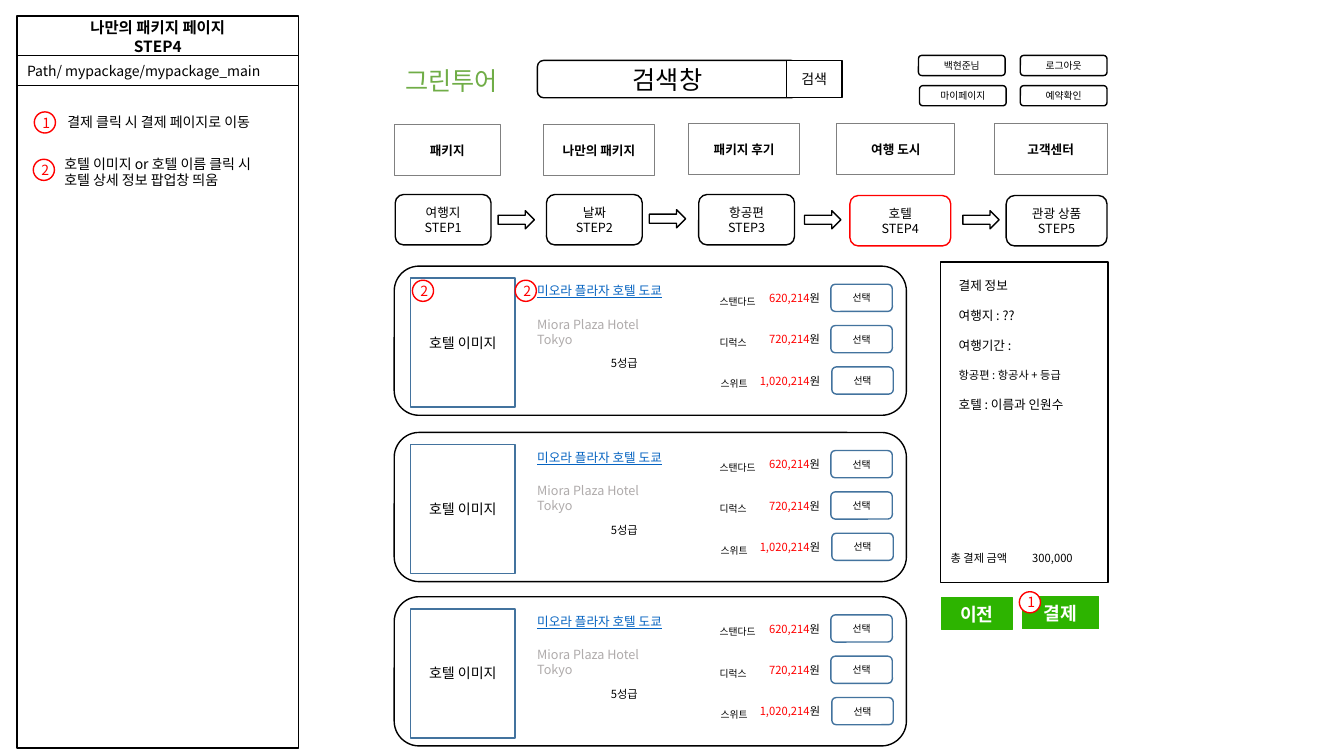
from lxml import etree
from pptx import Presentation
from pptx import util as u
from pptx.dml import color
from pptx.enum import shapes, text
from pptx.oxml import ns

BOX = shapes.MSO_SHAPE.RECTANGLE
ROUND = shapes.MSO_SHAPE.ROUNDED_RECTANGLE
OVAL = shapes.MSO_SHAPE.OVAL
ARROW = shapes.MSO_SHAPE.RIGHT_ARROW
MID, LEFT = text.PP_ALIGN.CENTER, text.PP_ALIGN.LEFT
FONT = "Noto Sans CJK KR"
BLACK, WHITE, RED = "000000", "FFFFFF", "FF0000"
BLUE, GREEN = "43739E", "2DB400"

deck = Presentation()
deck.slide_width, deck.slide_height = u.Inches(13.33), u.Inches(7.5)
page = deck.slides.add_slide(deck.slide_layouts[6])


def hue(code):
    return color.RGBColor.from_string(code)


def put(words, at, kind=None, size=9, ink=BLACK, bold=False, under=False,
        align=None, fill=WHITE, line=BLACK, width=1, unit="", gap=0, tab=0):
    """Add a shape, or a text box if kind is None; unit follows words in black."""
    spot = [u.Inches(n) for n in at]
    if kind is None:
        item = page.shapes.add_textbox(*spot)
    else:
        item = page.shapes.add_shape(kind, *spot)
        item.shadow.inherit = False
        if fill:
            item.fill.solid()
            item.fill.fore_color.rgb = hue(fill)
        else:
            item.fill.background()
        item.line.color.rgb = hue(line)
        item.line.width = u.Pt(width)
    if not words:
        return
    frame = item.text_frame
    frame.word_wrap = True
    if kind is not None:
        frame.vertical_anchor = text.MSO_ANCHOR.MIDDLE
    for i, row in enumerate(words.split("\n")):
        para = frame.add_paragraph() if i else frame.paragraphs[0]
        para.alignment = align or (LEFT if kind is None else MID)
        if i and gap:
            para.space_before = u.Pt(gap)
        if tab:
            tabs = etree.SubElement(para._p.get_or_add_pPr(), ns.qn("a:tabLst"))
            etree.SubElement(tabs, ns.qn("a:tab"), pos=str(u.Inches(tab)), algn="l")
        for part, tint in ((row, ink), (unit, BLACK)):
            if part:
                run = para.add_run()
                run.text = part
                font = run.font
                # The flight line is set one point smaller than its neighbours
                font.size = u.Pt(8 if row.startswith("항공편 :") else size)
                font.name, font.bold, font.underline = FONT, bold, under
                font.color.rgb = hue(tint)
                etree.SubElement(run._r.get_or_add_rPr(), ns.qn("a:ea"), typeface=FONT)


# Notes panel
put("", (0.17, 0.7, 2.79, 6.72), BOX)
put("나만의 패키지 페이지\nSTEP4", (0.17, 0.16, 2.79, 0.41), BOX, size=11, bold=True)
put("Path/ mypackage/mypackage_main", (0.17, 0.55, 2.79, 0.3), BOX, size=10, align=LEFT)
put("결제 클릭 시 결제 페이지로 이동", (0.57, 1.08, 2.33, 0.27), size=10)
put("호텔 이미지 or 호텔 이름 클릭 시 호텔 상세 정보 팝업창 띄움",
    (0.54, 1.49, 2.33, 0.44), size=10)

# Header
put("그린투어", (3.92, 0.6, 1.35, 0.4), size=18, ink="70AD47")
put("검색창", (5.33, 0.6, 2.58, 0.37), ROUND, size=18)
put("검색", (7.8, 0.6, 0.55, 0.37), BOX, size=10)
for name, x, y in (("백현준님", 9.11, 0.55), ("로그아웃", 10.12, 0.55),
                   ("마이페이지", 9.12, 0.85), ("예약확인", 10.12, 0.85)):
    put(name, (x, y, 0.86, 0.2), ROUND, size=7)

# Menu
for name, x, y, w in (("패키지", 3.91, 1.24, 1.05), ("나만의 패키지", 5.39, 1.24, 1.1),
                      ("패키지 후기", 6.83, 1.23, 1.1), ("여행 도시", 8.3, 1.23, 1.17),
                      ("고객센터", 9.86, 1.23, 1.12)):
    put(name, (x, y, w, 0.5), BOX, bold=True, fill=None, line="808080", width=0.75)

# Booking steps
steps = (("여행지", 3.92, 1.93, 0.95), ("날짜", 5.42, 1.93, 0.95),
         ("항공편", 6.93, 1.93, 0.95), ("호텔", 8.43, 1.94, 1),
         ("관광 상품", 9.98, 1.94, 1))
for i, (name, x, y, w) in enumerate(steps, 1):
    put(f"{name}\nSTEP{i}", (x, y, w, 0.5), ROUND, line=RED if name == "호텔" else BLACK)
for x, y in ((4.94, 2.09), (6.44, 2.08), (7.98, 2.09), (9.55, 2.09)):
    put("", (x, y, 0.36, 0.18), ARROW)

# Hotel cards
rooms = (("스탠다드", "620,214", 7.04, 7.52, 0.72, 8.24),
         ("디럭스", "720,214", 7.04, 7.52, 0.72, 8.24),
         ("스위트", "1,020,214", 7.05, 7.42, 0.83, 8.25))
for top in (2.64, 4.29, 5.92):
    put("", (3.91, top, 5.08, 1.48), ROUND)
    put("호텔 이미지", (4.07, top + 0.12, 1.04, 1.28), BOX, size=10, fill=None, line=BLUE)
    put("미오라 플라자 호텔 도쿄", (5.23, top + 0.12, 1.78, 0.25), ink="0563C1", under=True)
    put("Miora Plaza Hotel Tokyo", (5.23, top + 0.45, 1.36, 0.4), ink="AFABAB")
    put("5성급", (5.96, top + 0.85, 0.52, 0.24), size=8)
    for i, (room, price, left, mid, wide, right) in enumerate(rooms):
        y = top + 0.41 * i
        put(room, (left, y + 0.24, 0.64, 0.22), size=7)
        put(price, (mid, y + 0.2, wide, 0.24), size=8, ink=RED, align=MID, unit="원")
        put("선택", (right, y + 0.18, 0.61, 0.27), ROUND, size=7, fill=None, line=BLUE)

# Payment panel
put("", (9.33, 2.6, 1.66, 3.18), BOX, fill=None)
put("결제 정보\n여행지 : ??\n여행기간 :\n항공편 : 항공사 + 등급\n호텔 : 이름과 인원수",
    (9.41, 2.71, 1.53, 1.45), gap=10.7)
put("총 결제 금액\t300,000", (9.33, 5.42, 1.66, 0.24), size=8, tab=0.81)
for name, x, y, w in (("결제", 10.14, 5.92, 0.76), ("이전", 9.34, 5.93, 0.7)):
    put(name, (x, y, w, 0.32), BOX, size=13, ink=WHITE, bold=True,
        fill=GREEN, line=GREEN, width=0.75)

# Note markers
for mark, x, y in (("1", 0.34, 1.11), ("1", 10.11, 5.87), ("2", 0.33, 1.58),
                   ("2", 4.09, 2.78), ("2", 5.11, 2.78)):
    put(mark, (x, y, 0.21, 0.21), OVAL, size=10, ink=RED, line=RED)

deck.save("out.pptx")
